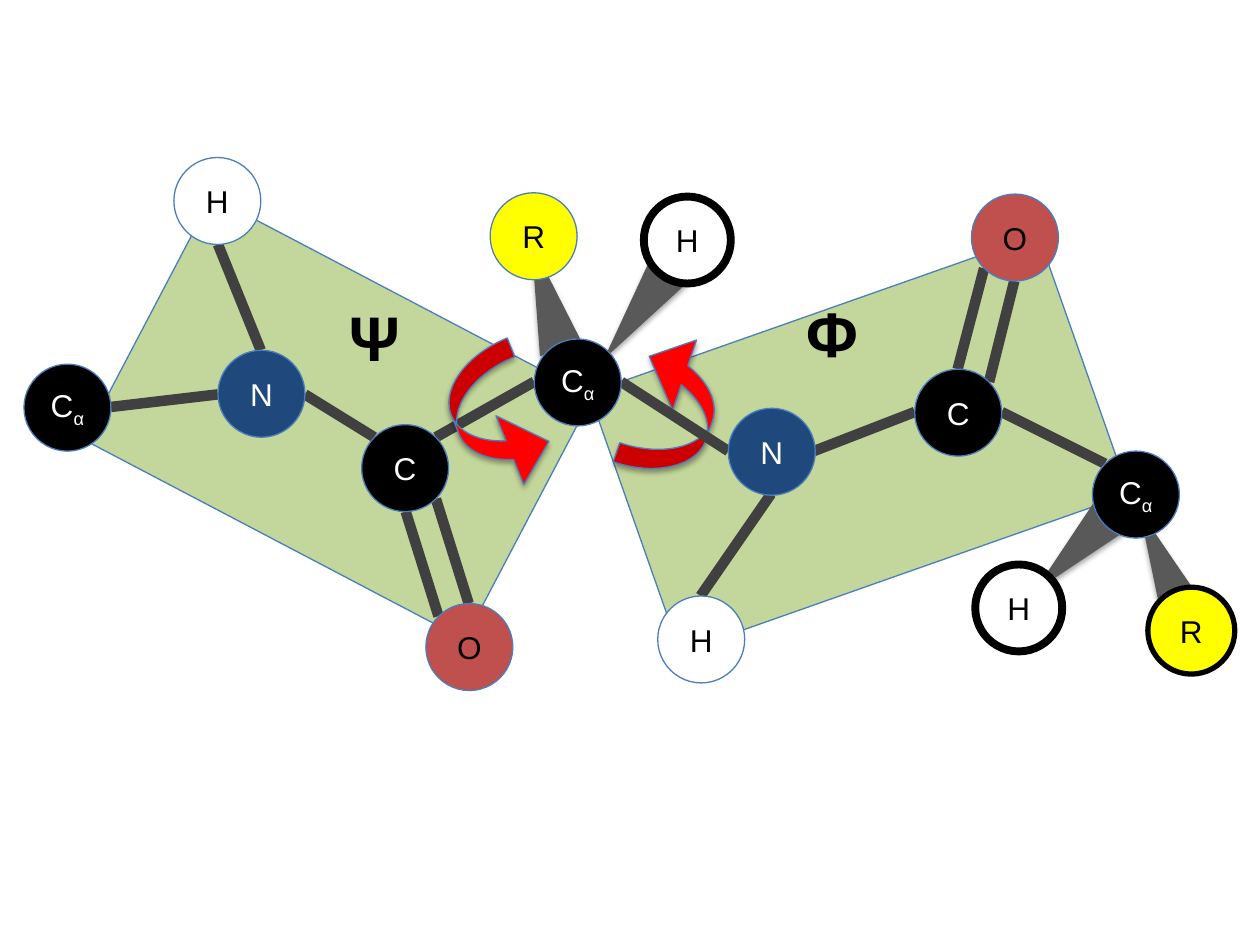
"""Build a slide of two peptide planes with the Φ and Ψ rotations about the central Cα."""
import pptx
import pptx.dml.color
import pptx.enum.shapes
import pptx.enum.text
import pptx.oxml
import pptx.oxml.ns
import pptx.util

Inches, Pt = pptx.util.Inches, pptx.util.Pt
RGB = pptx.dml.color.RGBColor.from_string
MSO = pptx.enum.shapes.MSO_SHAPE
THEME = {
    "plane": "C3D69B", "outline": "4B7EBC", "arrow": "FF0000", "wedge": "595959",
    "bond": "404040", "black": "000000", "white": "FFFFFF", "nitrogen": "1F497D",
    "oxygen": "C0504D", "residue": "FFFF00",
    "font": "Arial", "atom_size": 18, "angle_size": 36, "thin": 0.75, "bond_width": 6,
}
ATOM = 0.69
SHADOW = (
    f'<a:effectLst {pptx.oxml.ns.nsdecls("a")}>'
    '<a:outerShdw blurRad="39370" dist="22860" dir="5400000" rotWithShape="0">'
    '<a:srgbClr val="000000"><a:alpha val="35000"/></a:srgbClr>'
    '</a:outerShdw></a:effectLst>'
)


def add_form(kind, box, fill, line="outline", width=THEME["thin"], rotation=0, shadow=False):
    sp = s.shapes.add_shape(kind, *map(Inches, box))
    sp.rotation = rotation
    sp.fill.solid()
    sp.fill.fore_color.rgb = RGB(THEME[fill])
    sp.line.color.rgb = RGB(THEME[line])
    sp.line.width = Pt(width)
    if shadow:
        sp._element.spPr.append(pptx.oxml.parse_xml(SHADOW))
    else:
        sp.shadow.inherit = False
    if kind == MSO.CURVED_RIGHT_ARROW:
        for i, value in enumerate((0.25, 0.924, 0.49)):
            sp.adjustments[i] = value
    return sp


def add_run(p, text, color, size, bold=False):
    r = p.add_run()
    r.text = text
    values = {"name": THEME["font"], "size": Pt(THEME[size]), "bold": bold}
    for name, value in values.items():
        setattr(r.font, name, value)
    r.font.color.rgb = RGB(THEME[color])
    return r


prs = pptx.Presentation()
prs.slide_width, prs.slide_height = Inches(10), Inches(7.5)
s = prs.slides.add_slide(prs.slide_layouts[6])

for box, rotation in (((4.93, 2.43, 3.78, 2.18), 340.6), ((0.98, 2.23, 3.41, 2.18), 27.7)):
    add_form(MSO.RECTANGLE, box, "plane", rotation=rotation)

add_form(MSO.CURVED_RIGHT_ARROW, (5.04, 2.62, 0.64, 1.18), "arrow", rotation=198.8, shadow=True)

wedges = ((4.89, 2.06, 216.2), (4.17, 1.94, 344.4), (8.36, 3.95, 225), (9.05, 4.04, 337))
for x, y, rotation in wedges:
    add_form(MSO.ISOSCELES_TRIANGLE, (x, y, 0.34, 0.85), "wedge", "wedge",
             rotation=rotation, shadow=True)

bonds = (
    (2.97, 3.47, 2.42, 3.13), (2.07, 2.78, 1.73, 1.94), (0.88, 3.23, 1.73, 3.13),
    (3.46, 3.47, 4.24, 3.03), (3.48, 4.89, 3.22, 4.06), (3.72, 4.79, 3.46, 3.96),
    (4.93, 3.03, 5.78, 3.58), (7.26, 3.27, 6.46, 3.58), (7.81, 2.13, 7.6, 2.93),
    (8.05, 2.23, 7.85, 3.03), (6.12, 3.92, 5.56, 4.73), (7.95, 3.27, 8.77, 3.68),
)
for ends in bonds:
    bond = s.shapes.add_connector(pptx.enum.shapes.MSO_CONNECTOR.STRAIGHT, *map(Inches, ends))
    bond.line.color.rgb = RGB(THEME["bond"])
    bond.line.width = Pt(THEME["bond_width"])
    bond._element.spPr.append(pptx.oxml.parse_xml(f'<a:effectLst {pptx.oxml.ns.nsdecls("a")}/>'))

styles = {
    "C": ("black", "white"), "N": ("nitrogen", "white"), "H": ("white", "black"),
    "O": ("oxygen", "black"), "R": ("residue", "black"),
}
thin, medium, thick = ("outline", THEME["thin"]), ("black", 3), ("black", 4.5)
atoms = (
    ("Cα", 0.19, 2.89, thin), ("Cα", 4.24, 2.69, thin), ("C", 2.87, 3.37, thin),
    ("N", 1.73, 2.78, thin), ("H", 1.38, 1.25, thin), ("O", 3.38, 4.79, thin),
    ("N", 5.78, 3.24, thin), ("C", 7.26, 2.93, thin), ("O", 7.71, 1.54, thin),
    ("H", 5.22, 4.73, thin), ("R", 3.89, 1.53, thin), ("H", 5.11, 1.56, thick),
    ("Cα", 8.67, 3.58, thin), ("R", 9.11, 4.66, medium), ("H", 7.74, 4.48, thick),
)
for name, x, y, (line, width) in atoms:
    fill, color = styles[name[0]]
    sp = add_form(MSO.OVAL, (x, y, ATOM, ATOM), fill, line, width)
    tf = sp.text_frame
    tf.word_wrap = False
    tf.vertical_anchor = pptx.enum.text.MSO_ANCHOR.MIDDLE
    p = tf.paragraphs[0]
    p.alignment = pptx.enum.text.PP_ALIGN.CENTER
    add_run(p, name[0], color, "atom_size")
    if name[1:]:
        r = add_run(p, name[1:], color, "atom_size")
        r.font._element.set("baseline", "-25000")

add_form(MSO.CURVED_RIGHT_ARROW, (3.63, 2.76, 0.64, 1.18), "arrow", rotation=338, shadow=True)

for angle, x, y, width in (("Ψ", 2.67, 2.32, 0.61), ("Φ", 6.3, 2.29, 0.62)):
    tf = s.shapes.add_textbox(*map(Inches, (x, y, width, 0.71))).text_frame
    tf.word_wrap = False
    tf.auto_size = pptx.enum.text.MSO_AUTO_SIZE.SHAPE_TO_FIT_TEXT
    add_run(tf.paragraphs[0], angle, "black", "angle_size", bold=True)

prs.save("out.pptx")
